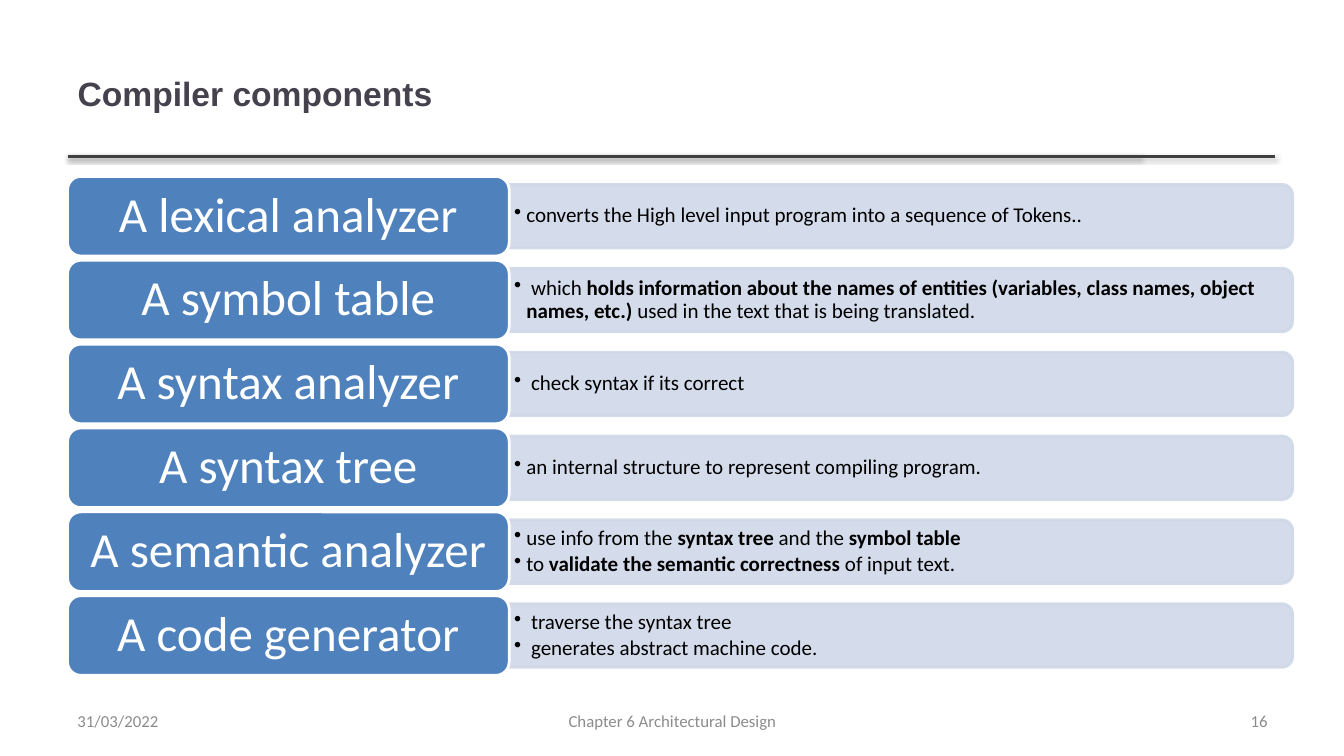
from dataclasses import dataclass

from lxml import etree
from pptx import Presentation
from pptx.dml.color import RGBColor
from pptx.enum.shapes import MSO_CONNECTOR, MSO_SHAPE
from pptx.enum.text import MSO_ANCHOR, PP_ALIGN
from pptx.oxml import parse_xml
from pptx.oxml.ns import nsdecls, qn
from pptx.util import Inches, Pt

LEFT, CENTER, RIGHT = PP_ALIGN.LEFT, PP_ALIGN.CENTER, PP_ALIGN.RIGHT
MIDDLE = MSO_ANCHOR.MIDDLE
STRAIGHT = MSO_CONNECTOR.STRAIGHT
ROUNDED, ROUNDED_END = MSO_SHAPE.ROUNDED_RECTANGLE, MSO_SHAPE.ROUND_2_SAME_RECTANGLE
TITLE_ONLY = 5


@dataclass(frozen=True)
class Theme:
    """Fonts, type sizes and colours of the slide."""
    title_font: str = "Arial"
    body_font: str = "Calibri"
    title_size: float = 24
    label_size: float = 35
    detail_size: float = 15
    footer_size: float = 12
    title: str = "46424D"
    rule: str = "404040"
    label: str = "4F81BD"
    label_text: str = "FFFFFF"
    bar: str = "D0D8E8"
    detail: str = "000000"
    footer: str = "8C8C8C"


THEME = Theme()

MARGIN = 0.67
RULE_TOP = 1.55
RULE_ENDS = (11.32, 12.65)
FIRST_TOP, LAST_TOP = 1.75, 5.91
LABEL_WIDTH, LABEL_HEIGHT = 4.38, 0.79
BAR_LEFT, BAR_WIDTH, BAR_HEIGHT = 5.04, 7.78, 0.63
DETAIL_WIDTH, DETAIL_HEIGHT = 7.75, 0.57

COMPONENTS = [
    ("A lexical analyzer",
     [[("converts the High level input program into a sequence of Tokens..", False)]]),
    ("A symbol table",
     [[(" which ", False),
       ("holds information about the names of entities (variables, class names, "
        "object names, etc.)", True),
       (" used in the text that is being translated.", False)]]),
    ("A syntax analyzer", [[(" check syntax if its correct", False)]]),
    ("A syntax tree",
     [[("an internal structure to represent compiling program.", False)]]),
    ("A semantic analyzer",
     [[("use info from the ", False), ("syntax tree ", True),
       ("and the ", False), ("symbol table", True)],
      [("to ", False), ("validate the semantic correctness", True),
       (" of input text.", False)]]),
    ("A code generator",
     [[(" traverse the syntax tree", False)],
      [(" generates abstract machine code.", False)]]),
]

FOOTERS = [
    ("31/03/2022", MARGIN, 3.11, LEFT),
    ("Chapter 6 Architectural Design", 4.56, 4.22, CENTER),
    ("16", 9.56, 3.11, RIGHT),
]


def add_run(paragraph, text, size, color, font=THEME.body_font, bold=False):
    """Append one formatted run."""
    run = paragraph.add_run()
    run.text = text
    run.font.name = font
    run.font.size = Pt(size)
    run.font.bold = bold
    run.font.color.rgb = RGBColor.from_string(color)


def set_frame(frame, side=0.1, end=0.05):
    """Wrap and centre a text frame vertically, with the given insets."""
    frame.word_wrap = True
    frame.vertical_anchor = MIDDLE
    frame.margin_left = frame.margin_right = Inches(side)
    frame.margin_top = frame.margin_bottom = Inches(end)


def add_panel(slide, kind, left, top, width, height, fill, line):
    """Add a flat filled shape with a two-point outline."""
    panel = slide.shapes.add_shape(
        kind, Inches(left), Inches(top), Inches(width), Inches(height))
    panel.shadow.inherit = False
    panel.fill.solid()
    panel.fill.fore_color.rgb = RGBColor.from_string(fill)
    panel.line.color.rgb = RGBColor.from_string(line)
    panel.line.width = Pt(2)
    return panel


def add_title(slide, text):
    """Place and fill the title placeholder."""
    title = slide.shapes.title
    title.left, title.top = Inches(MARGIN), Inches(0.3)
    title.width, title.height = Inches(10.63), Inches(1.25)
    set_frame(title.text_frame)
    paragraph = title.text_frame.paragraphs[0]
    paragraph.alignment = LEFT
    add_run(paragraph, text, THEME.title_size, THEME.title, THEME.title_font, True)


def add_rule(slide, right):
    """Draw a shadowed rule from the left margin."""
    rule = slide.shapes.add_connector(
        STRAIGHT, Inches(MARGIN), Inches(RULE_TOP), Inches(right), Inches(RULE_TOP))
    rule.line.color.rgb = RGBColor.from_string(THEME.rule)
    rule.line.width = Pt(2)
    rule._element.spPr.append(parse_xml(
        f'<a:effectLst {nsdecls("a")}>'
        f'<a:outerShdw blurRad="{Pt(3.1)}" dist="{Pt(1.6)}" dir="5400000" rotWithShape="0">'
        '<a:srgbClr val="000000"><a:alpha val="38000"/></a:srgbClr>'
        '</a:outerShdw></a:effectLst>'))


def add_bar(slide, middle):
    """Add a translucent bar, turned so that its round corners face right."""
    center = BAR_LEFT + BAR_WIDTH / 2
    bar = add_panel(slide, ROUNDED_END, center - BAR_HEIGHT / 2, middle - BAR_WIDTH / 2,
                    BAR_HEIGHT, BAR_WIDTH, THEME.bar, THEME.bar)
    bar.rotation = 90
    for color in bar._element.spPr.iter(qn("a:srgbClr")):
        etree.SubElement(color, qn("a:alpha")).set("val", "90000")


def add_details(slide, middle, items):
    """Write the bulleted details over a bar."""
    box = slide.shapes.add_textbox(
        Inches(BAR_LEFT), Inches(middle - DETAIL_HEIGHT / 2),
        Inches(DETAIL_WIDTH), Inches(DETAIL_HEIGHT))
    frame = box.text_frame
    set_frame(frame, 0.06, 0.03)
    for index, runs in enumerate(items):
        paragraph = frame.add_paragraph() if index else frame.paragraphs[0]
        properties = paragraph._p.get_or_add_pPr()
        properties.set("marL", str(Inches(0.12)))
        properties.set("indent", str(-Inches(0.12)))
        etree.SubElement(properties, qn("a:buChar")).set("char", "•")
        paragraph.line_spacing = 0.9
        paragraph.space_after = Pt(0.15 * THEME.detail_size)
        for text, bold in runs:
            add_run(paragraph, text, THEME.detail_size, THEME.detail, bold=bold)


def add_label(slide, top, text):
    """Add the blue label that names a component."""
    label = add_panel(slide, ROUNDED, MARGIN, top, LABEL_WIDTH, LABEL_HEIGHT,
                      THEME.label, THEME.label_text)
    set_frame(label.text_frame, 0.15, 0.07)
    paragraph = label.text_frame.paragraphs[0]
    paragraph.alignment = CENTER
    paragraph.line_spacing = 0.9
    add_run(paragraph, text, THEME.label_size, THEME.label_text)


def add_footer(slide, text, left, width, alignment):
    """Add one part of the footer line."""
    footer = slide.shapes.add_textbox(
        Inches(left), Inches(6.95), Inches(width), Inches(0.4))
    set_frame(footer.text_frame)
    paragraph = footer.text_frame.paragraphs[0]
    paragraph.alignment = alignment
    add_run(paragraph, text, THEME.footer_size, THEME.footer)


def main():
    """Build the slide and save it."""
    deck = Presentation()
    deck.slide_width, deck.slide_height = Inches(13.33), Inches(7.5)
    slide = deck.slides.add_slide(deck.slide_layouts[TITLE_ONLY])
    for right in RULE_ENDS:
        add_rule(slide, right)
    add_title(slide, "Compiler components")
    pitch = (LAST_TOP - FIRST_TOP) / (len(COMPONENTS) - 1)
    for row, (name, details) in enumerate(COMPONENTS):
        top = FIRST_TOP + row * pitch
        middle = top + LABEL_HEIGHT / 2
        add_bar(slide, middle)
        add_details(slide, middle, details)
        add_label(slide, top, name)
    for footer in FOOTERS:
        add_footer(slide, *footer)
    deck.save("out.pptx")


if __name__ == "__main__":
    main()
